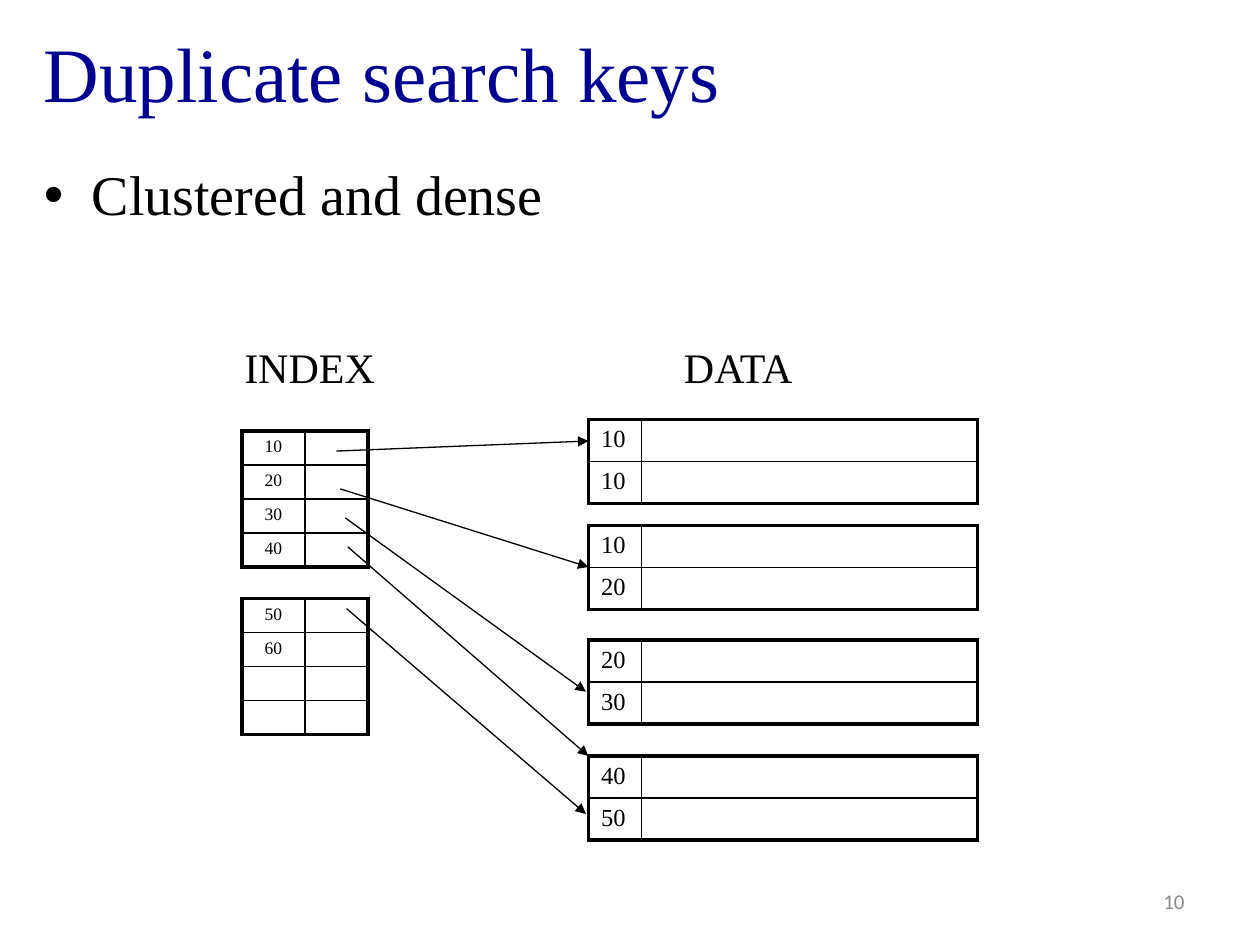
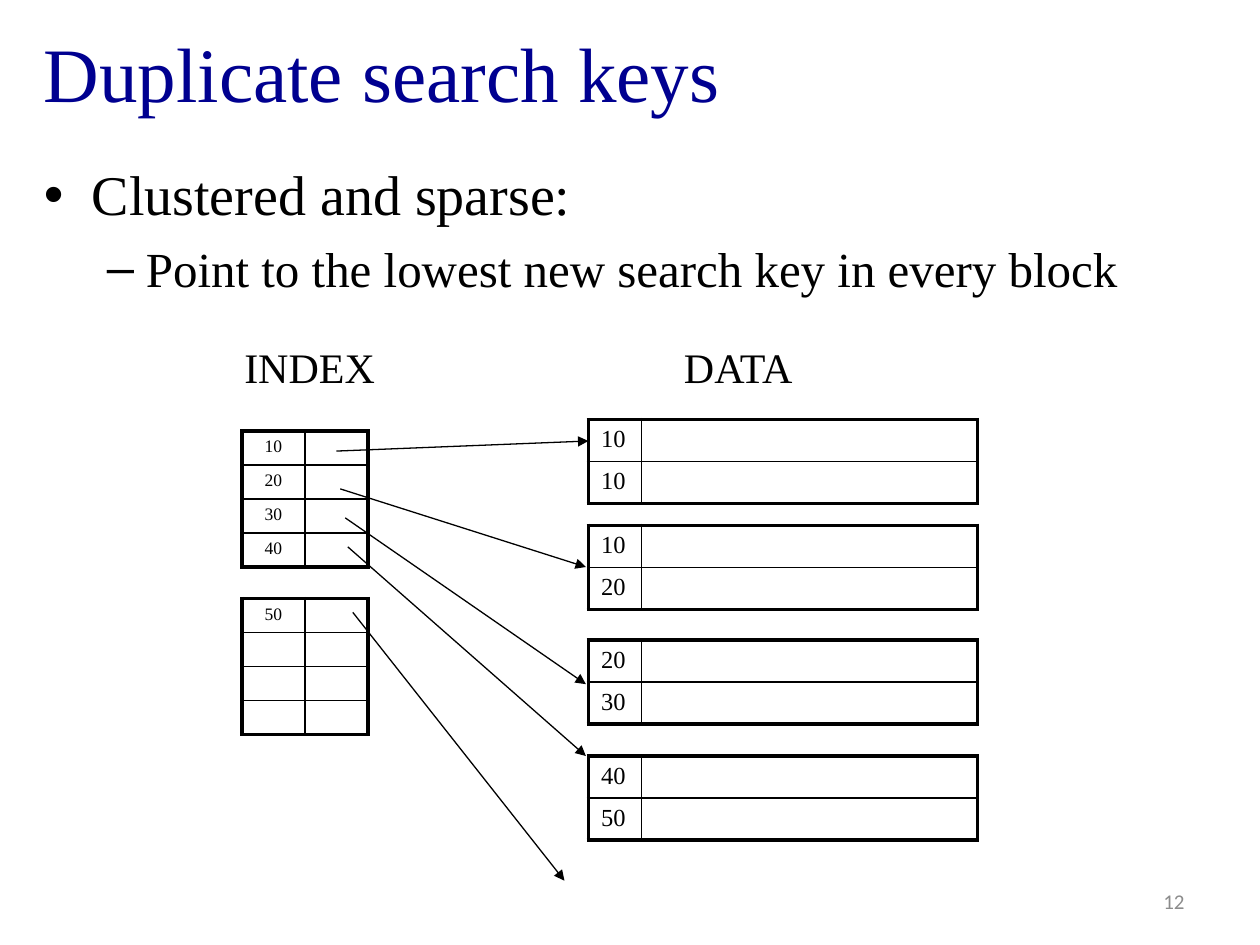
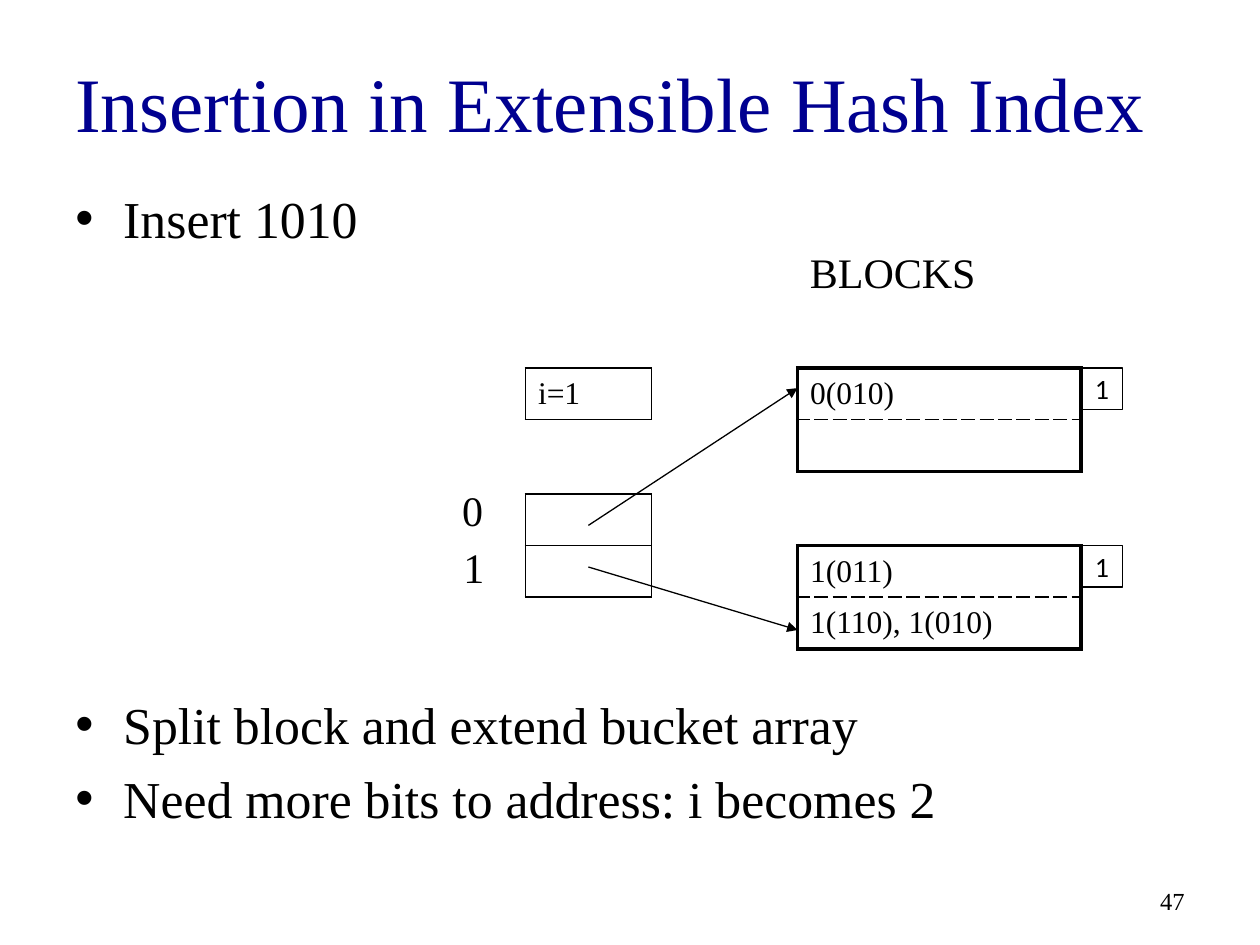
from dataclasses import dataclass

from lxml import etree
from pptx import Presentation
from pptx.dml.color import RGBColor
from pptx.enum import shapes, text
from pptx.oxml import ns
from pptx.util import Inches, Pt


@dataclass(frozen=True)
class Theme:
    serif: str = "Times New Roman"
    sans: str = "Calibri"
    title_color: str = "000090"
    ink: str = "000000"
    muted: str = "8C8C8C"
    title_size: float = 44
    bullet_size: float = 32
    sub_bullet_size: float = 28
    compact_bullet_size: float = 29.6
    label_size: float = 24
    block_size: float = 18
    badge_size: float = 16
    data_size: float = 14
    number_size: float = 12
    index_size: float = 10
    thick: float = 2.25
    thin: float = 1
    hairline: float = 0.75
    paragraph_gap: float = 0.23


THEME = Theme()
# Bullet level: character, left margin, hanging indent
BULLETS = (("•", 0.38, -0.38), ("–", 0.81, -0.31))
DATA_BLOCKS = ((3.33, ("10", "10")), (4.17, ("10", "20")),
               (5.08, ("20", "30")), (6, ("40", "50")))
INDEX_TOPS = (3.42, 4.75)


def add_node(parent, tag, **attributes):
    return etree.SubElement(parent, ns.qn(tag), attributes)


def style_runs(para, size, color=THEME.ink, font=THEME.serif):
    for span in para.runs:
        span.font.size = Pt(size)
        span.font.name = font
        span.font.color.rgb = RGBColor.from_string(color)


# Text
def add_text(page, words, left, top, width, height, size, color=THEME.ink,
             font=THEME.serif, anchor=text.MSO_ANCHOR.TOP,
             align=text.PP_ALIGN.LEFT, wrap=True):
    box = page.shapes.add_textbox(Inches(left), Inches(top),
                                  Inches(width), Inches(height))
    frame = box.text_frame
    frame.word_wrap = wrap
    frame.vertical_anchor = anchor
    frame.text = words
    for para in frame.paragraphs:
        para.alignment = align
        style_runs(para, size, color, font)
    return box


def add_title(page, words, left, top, width, height):
    add_text(page, words, left, top, width, height, THEME.title_size,
             THEME.title_color, anchor=text.MSO_ANCHOR.MIDDLE)


def add_label(page, words, left, top, width):
    add_text(page, words, left, top, width, 0.5, THEME.label_size, wrap=False)


def add_page_number(page, number, size=THEME.number_size, color=THEME.muted,
                    font=THEME.sans):
    add_text(page, number, 7.17, 6.95, 2.33, 0.4, size, color, font,
             text.MSO_ANCHOR.MIDDLE, text.PP_ALIGN.RIGHT)


def add_bullets(page, items, left, top, width, height):
    """Each item is (words, level, size)."""
    words = "\n".join(item[0] for item in items)
    box = add_text(page, words, left, top, width, height, THEME.bullet_size)
    for para, (_, level, size) in zip(box.text_frame.paragraphs, items):
        character, margin, indent = BULLETS[level]
        para.level = level
        para.space_before = Pt(size * THEME.paragraph_gap)
        style_runs(para, size)
        properties = para._p.get_or_add_pPr()
        properties.set("marL", str(Inches(margin)))
        properties.set("indent", str(Inches(indent)))
        add_node(properties, "a:buFont", typeface="Arial")
        add_node(properties, "a:buChar", char=character)


# Tables
def set_borders(cell, borders):
    """Borders are (width, dash) for left, right, top and bottom."""
    properties = cell._tc.get_or_add_tcPr()
    for position, (side, (width, dash)) in enumerate(zip("LRTB", borders)):
        line = etree.Element(ns.qn(f"a:ln{side}"), w=str(Pt(width)))
        add_node(add_node(line, "a:solidFill"), "a:srgbClr", val=THEME.ink)
        add_node(line, "a:prstDash", val=dash)
        properties.insert(position, line)


def add_grid(page, rows, left, top, widths, row_height, size,
             outer=THEME.thick, dash="solid", align=text.PP_ALIGN.LEFT,
             anchor=text.MSO_ANCHOR.TOP):
    frame = page.shapes.add_table(len(rows), len(widths), Inches(left), Inches(top),
                                  Inches(sum(widths)), Inches(row_height * len(rows)))
    table = frame.table
    table.first_row = table.horz_banding = False
    for column, width in zip(table.columns, widths):
        column.width = Inches(width)
    edge, inner = (outer, "solid"), (THEME.thin, dash)
    for r, values in enumerate(rows):
        table.rows[r].height = Inches(row_height)
        for c, value in enumerate(values):
            cell = table.cell(r, c)
            cell.fill.background()
            cell.vertical_anchor = anchor
            outside = (c == 0, c == len(widths) - 1, r == 0, r == len(rows) - 1)
            set_borders(cell, [edge if is_outer else inner for is_outer in outside])
            cell.text_frame.text = value
            para = cell.text_frame.paragraphs[0]
            para.alignment = align
            style_runs(para, size)
            if not value:
                para._p.get_or_add_endParaRPr().set("sz", str(int(size * 100)))


def add_index_block(page, keys, top):
    add_grid(page, [(key, "") for key in keys], 1.92, top, (0.5, 0.5), 0.27,
             THEME.index_size, align=text.PP_ALIGN.CENTER)


def add_data_block(page, keys, top):
    add_grid(page, [(key, "") for key in keys], 4.67, top, (0.42, 2.67), 0.33,
             THEME.data_size)


def add_hash_cells(page, values, left, top, width, outer, dash="solid"):
    add_grid(page, [(value,) for value in values], left, top, (width,), 0.41,
             THEME.block_size, outer, dash, anchor=text.MSO_ANCHOR.MIDDLE)


# Arrows and badges
def add_arrow(page, start, end):
    arrow = page.shapes.add_connector(shapes.MSO_CONNECTOR.STRAIGHT,
                                      *map(Inches, start + end))
    arrow.line.width = Pt(THEME.hairline)
    arrow.line.color.rgb = RGBColor.from_string(THEME.ink)
    add_node(arrow.line._get_or_add_ln(), "a:tailEnd", type="triangle")
    add_node(arrow._element.spPr, "a:effectLst")


def add_badge(page, words, left, top):
    side = Inches(0.33)
    badge = page.shapes.add_shape(shapes.MSO_SHAPE.RECTANGLE, Inches(left),
                                  Inches(top), side, side)
    badge.shadow.inherit = False
    badge.fill.background()
    badge.line.width = Pt(THEME.hairline)
    badge.line.color.rgb = RGBColor.from_string(THEME.ink)
    frame = badge.text_frame
    frame.word_wrap = False
    frame.vertical_anchor = text.MSO_ANCHOR.MIDDLE
    frame.text = words
    frame.paragraphs[0].alignment = text.PP_ALIGN.CENTER
    style_runs(frame.paragraphs[0], THEME.badge_size, font=THEME.sans)


# Slides
def add_page(deck):
    return deck.slides.add_slide(deck.slide_layouts[6])


def add_duplicate_keys(deck, number, bullets, index_blocks, arrows):
    page = add_page(deck)
    add_title(page, "Duplicate search keys", 0.25, 0.05, 9.55, 1.04)
    add_bullets(page, bullets, 0.25, 1.22, 9.55, 1.35)
    add_page_number(page, number)
    add_label(page, "INDEX", 1.84, 2.66, 1.25)
    add_label(page, "DATA", 5.33, 2.66, 1.07)
    for top, keys in zip(INDEX_TOPS, index_blocks):
        add_index_block(page, keys, top)
    for top, keys in DATA_BLOCKS:
        add_data_block(page, keys, top)
    for start, end in arrows:
        add_arrow(page, start, end)


def add_hash_insertion(deck):
    page = add_page(deck)
    size = THEME.compact_bullet_size
    add_title(page, "Insertion in Extensible Hash Index", 0.5, 0.18, 9, 1.25)
    add_bullets(page, [("Insert 1010", 0, size)], 0.5, 1.43, 9, 0.6)
    add_bullets(page, [("Split block and extend bucket array", 0, size),
                       ("Need more bits to address: i becomes 2", 0, size)],
                0.5, 5.45, 9, 1.25)
    add_page_number(page, "47", THEME.data_size, THEME.ink, THEME.serif)

    # Bucket array
    add_hash_cells(page, ["i=1"], 4.17, 2.92, 1, THEME.thin)
    add_hash_cells(page, ["", ""], 4.17, 3.92, 1, THEME.thin)
    add_label(page, "0", 3.57, 3.8, 0.37)
    add_label(page, "1", 3.58, 4.25, 0.37)

    # Blocks with their bit counts
    add_label(page, "BLOCKS", 6.33, 1.91, 1.53)
    for top, values in ((2.92, ["0(010)", ""]),
                        (4.33, ["1(011)", "1(110), 1(010)"])):
        add_hash_cells(page, values, 6.33, top, 2.25, THEME.thick, "lgDash")
        add_badge(page, "1", 8.58, top)
    add_arrow(page, (4.67, 4.17), (6.33, 3.08))
    add_arrow(page, (4.67, 4.5), (6.33, 5))


def main():
    deck = Presentation()
    deck.slide_width, deck.slide_height = Inches(10), Inches(7.5)
    first_keys = ("10", "20", "30", "40")
    first_arrow = ((2.67, 3.58), (4.67, 3.5))

    add_duplicate_keys(
        deck, "10", [("Clustered and dense", 0, THEME.bullet_size)],
        (first_keys, ("50", "60", "", "")),
        (first_arrow, ((2.7, 3.88), (4.67, 4.5)), ((2.74, 4.11), (4.65, 5.49)),
         ((2.76, 4.34), (4.67, 6)), ((2.75, 4.83), (4.65, 6.46))))
    add_duplicate_keys(
        deck, "12",
        [("Clustered and sparse:", 0, THEME.bullet_size),
         ("Point to the lowest new search key in every block", 1,
          THEME.sub_bullet_size)],
        (first_keys, ("50", "", "", "")),
        (first_arrow, ((2.7, 3.88), (4.65, 4.5)), ((2.74, 4.11), (4.65, 5.43)),
         ((2.76, 4.34), (4.65, 6)), ((2.8, 4.86), (4.48, 6.99))))
    add_hash_insertion(deck)
    deck.save("out.pptx")


if __name__ == "__main__":
    main()
